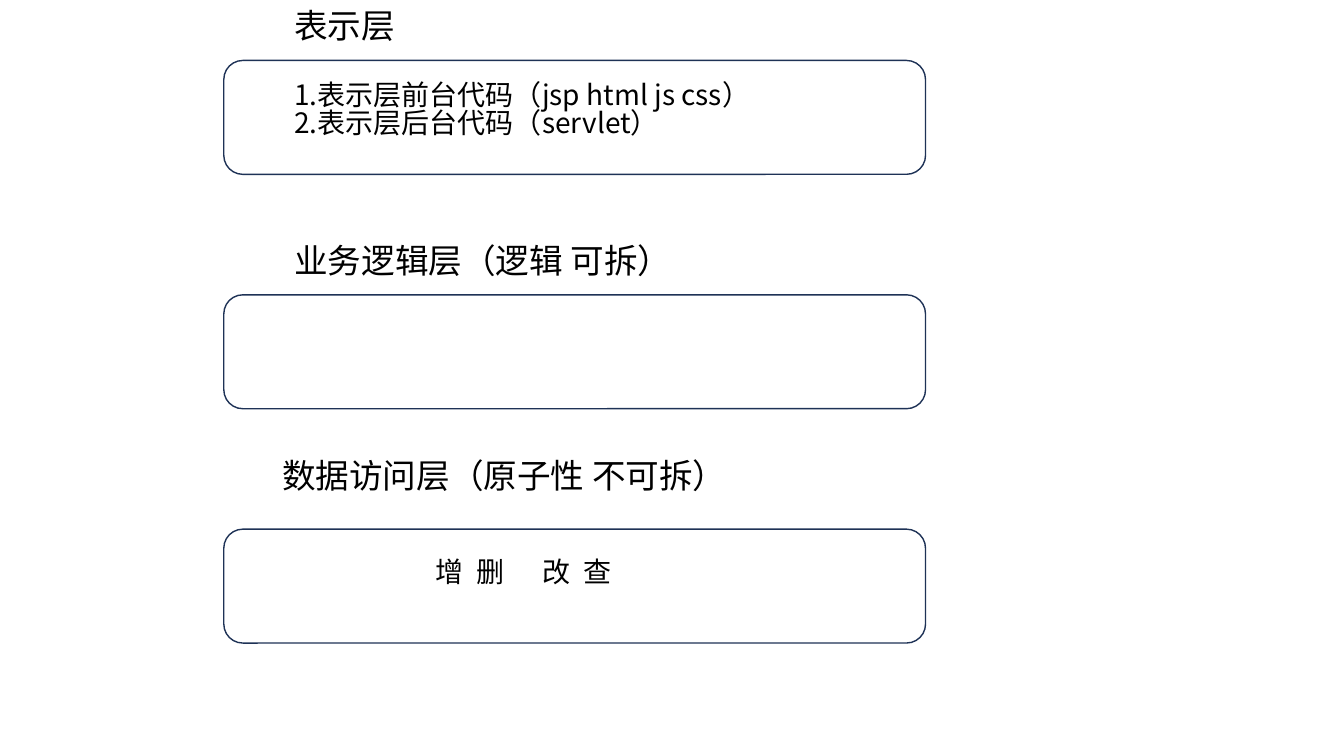
from dataclasses import dataclass

from lxml import etree
from pptx import Presentation
from pptx.dml.color import RGBColor
from pptx.enum.shapes import MSO_SHAPE
from pptx.oxml.ns import qn
from pptx.util import Inches, Pt

ROUNDED = MSO_SHAPE.ROUNDED_RECTANGLE


@dataclass(frozen=True)
class Theme:
    font: str = "Noto Sans CJK SC"
    text: RGBColor = RGBColor(0x00, 0x00, 0x00)
    fill: RGBColor = RGBColor(0xFF, 0xFF, 0xFF)
    line: RGBColor = RGBColor(0x1E, 0x32, 0x56)
    line_width: Pt = Pt(1)
    title_size: Pt = Pt(24)
    body_size: Pt = Pt(20)
    spacing: float = 0.83


THEME = Theme()

# Three layers share one column and are evenly spaced down the slide (inches).
BOX_LEFT, BOX_WIDTH, BOX_HEIGHT = 2.22, 6.96, 1.13
FIRST_TOP, LAST_TOP = 0.6, 5.25
TITLE_HEIGHT = 0.5

# Title, its left edge, its width and its rise above the box.
LAYERS = [
    ("表示层", 2.82, 1.54, 0.53),
    ("业务逻辑层（逻辑 可拆）", 2.82, 5.56, 0.53),
    ("数据访问层（原子性 不可拆）", 2.7, 5.56, 0.72),
]
PRESENTATION_CODE = ["1.表示层前台代码（jsp html js css）", "2.表示层后台代码（servlet）"]
DATA_OPERATIONS = ["增\t删\t改\t查"]
OPERATION_TABS = (0.41, 1.06, 1.47)


def add_layer_box(slide, top):
    s = slide.shapes.add_shape(
        ROUNDED, *map(Inches, (BOX_LEFT, top, BOX_WIDTH, BOX_HEIGHT)))
    s.shadow.inherit = False
    s.fill.solid()
    s.fill.fore_color.rgb = THEME.fill
    s.line.color.rgb = THEME.line
    s.line.width = THEME.line_width


def set_tabs(p, stops):
    tabs = etree.SubElement(p._p.get_or_add_pPr(), qn("a:tabLst"))
    for stop in stops:
        etree.SubElement(tabs, qn("a:tab"), pos=str(Inches(stop)), algn="l")


def add_text(slide, box, lines, size, tabs=()):
    s = slide.shapes.add_textbox(*map(Inches, box))
    tf = s.text_frame
    tf.word_wrap = True
    for i, line in enumerate(lines):
        p = tf.add_paragraph() if i else tf.paragraphs[0]
        p.line_spacing = THEME.spacing
        if tabs:
            set_tabs(p, tabs)
        r = p.add_run()
        r.text = line
        for name, value in {"name": THEME.font, "size": size}.items():
            setattr(r.font, name, value)
        r.font.color.rgb = THEME.text
        # East Asian glyphs take their typeface from a:ea.
        etree.SubElement(r._r.get_or_add_rPr(), qn("a:ea"), typeface=THEME.font)


def main():
    prs = Presentation()
    prs.slide_width, prs.slide_height = Inches(13.33), Inches(7.5)
    slide = prs.slides.add_slide(prs.slide_layouts[6])

    pitch = (LAST_TOP - FIRST_TOP) / (len(LAYERS) - 1)
    for i, (title, left, width, rise) in enumerate(LAYERS):
        top = FIRST_TOP + i * pitch
        add_layer_box(slide, top)
        add_text(slide, (left, top - rise, width, TITLE_HEIGHT), [title],
                 THEME.title_size)

    add_text(slide, (2.82, 0.78, 5.98, 0.77), PRESENTATION_CODE, THEME.body_size)
    add_text(slide, (4.22, 5.51, 2.53, 0.44), DATA_OPERATIONS, THEME.body_size,
             OPERATION_TABS)
    prs.save("out.pptx")


if __name__ == "__main__":
    main()
